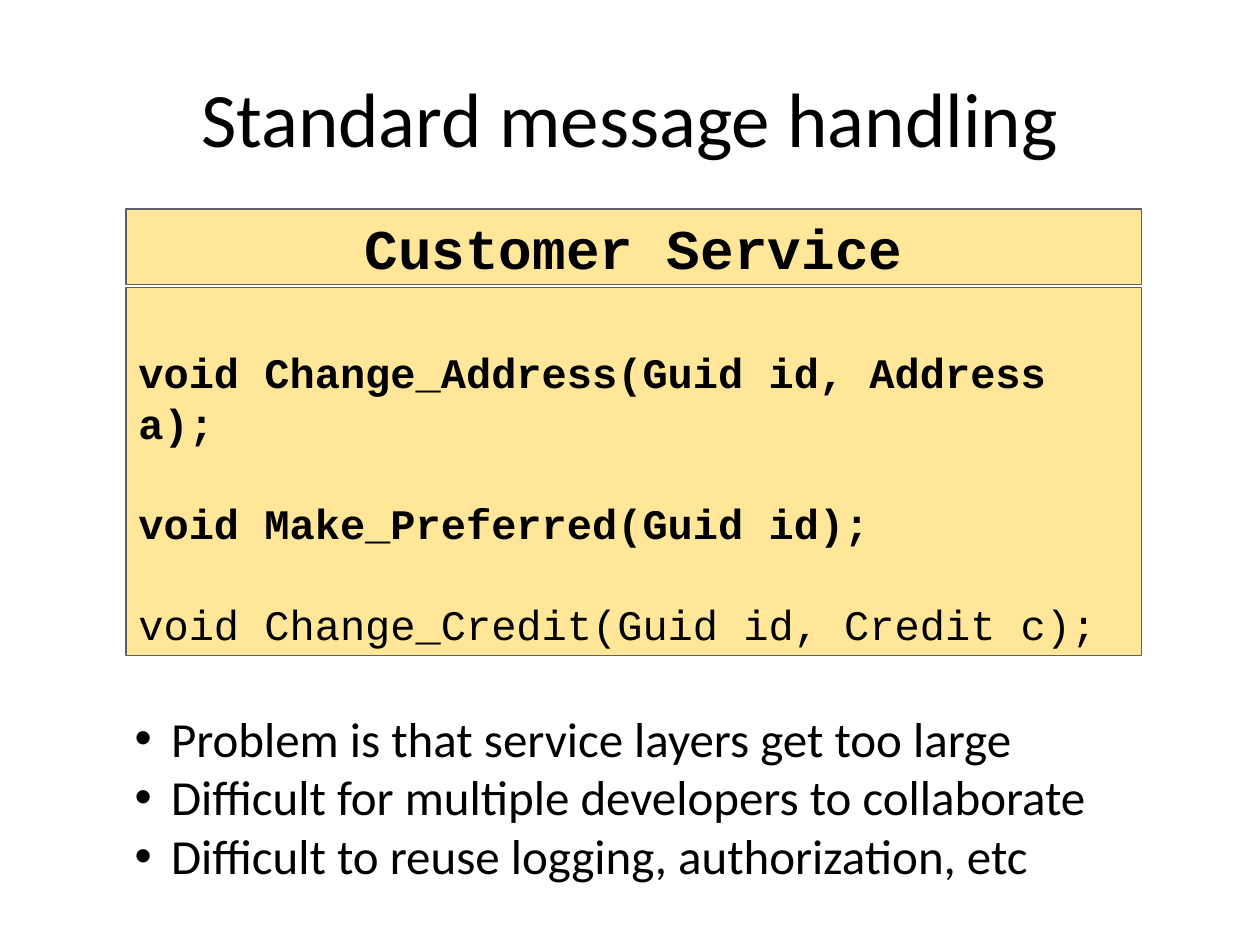
from lxml import etree
from pptx import Presentation
from pptx.dml.color import RGBColor
from pptx.enum.shapes import MSO_SHAPE
from pptx.enum.text import MSO_ANCHOR as ANCHOR, PP_ALIGN as ALIGN
from pptx.oxml.ns import qn
from pptx.util import Inches, Pt

COLORS = {"text": "000000", "panel": "FFE699", "border": "5F5F5F"}
BODY, CODE = "Calibri", "Courier New"
METHODS = [
    ("void Change_Address(Guid id, Address a);", True),
    ("void Make_Preferred(Guid id);", True),
    ("void Change_Credit(Guid id, Credit c);", False),
]
PROBLEMS = [
    "Problem is that service layers get too large",
    "Difficult for multiple developers to collaborate",
    "Difficult to reuse logging, authorization, etc",
]


def rgb(name):
    return RGBColor.from_string(COLORS[name])


def add_run(p, text, size, font, bold=False):
    r = p.add_run()
    r.text = text
    r.font.size, r.font.name, r.font.bold = Pt(size), font, bold
    r.font.color.rgb = rgb("text")


def next_paragraph(tf, index):
    return tf.add_paragraph() if index else tf.paragraphs[0]


def add_title(slide, x, y, w, h, text):
    tf = slide.shapes.add_textbox(x, y, w, h).text_frame
    tf.word_wrap = True
    tf.vertical_anchor = ANCHOR.MIDDLE
    p = tf.paragraphs[0]
    p.alignment = ALIGN.CENTER
    add_run(p, text, 44, BODY)


def add_panel(slide, x, y, w, h, anchor):
    """Add a bordered rectangle and return its text frame."""
    sp = slide.shapes.add_shape(MSO_SHAPE.RECTANGLE, x, y, w, h)
    sp.shadow.inherit = False
    sp.fill.solid()
    sp.fill.fore_color.rgb = rgb("panel")
    sp.line.color.rgb = rgb("border")
    sp.line.width = Pt(0.75)
    tf = sp.text_frame
    tf.word_wrap = True
    tf.vertical_anchor = anchor
    return tf


def add_service(slide, x, y, w, h, name, methods):
    """Add a class box: a name bar above a list of methods."""
    bar_h, gap = Inches(0.6), Inches(0.02)
    p = add_panel(slide, x, y, w, bar_h, ANCHOR.MIDDLE).paragraphs[0]
    p.alignment = ALIGN.CENTER
    add_run(p, name, 32, CODE, True)

    top = bar_h + gap
    tf = add_panel(slide, x, y + top, w, h - top, ANCHOR.BOTTOM)
    for i, (method, bold) in enumerate(methods):
        p = next_paragraph(tf, i)
        p.alignment = ALIGN.LEFT
        p.line_spacing = Pt(28.8)
        if i:
            p.space_before = Pt(28.8)
        add_run(p, method, 24, CODE, bold)


def add_bullets(slide, x, y, w, h, items):
    tf = slide.shapes.add_textbox(x, y, w, h).text_frame
    tf.word_wrap = True
    indent = Inches(0.29)
    for i, item in enumerate(items):
        p = next_paragraph(tf, i)
        pPr = p._p.get_or_add_pPr()
        pPr.set("marL", str(indent))
        pPr.set("indent", str(-indent))
        etree.SubElement(pPr, qn("a:buFont")).set("typeface", "Arial")
        etree.SubElement(pPr, qn("a:buChar")).set("char", "•")
        add_run(p, item, 28, BODY)


def main():
    prs = Presentation()
    prs.slide_width, prs.slide_height = Inches(10), Inches(7.5)
    slide = prs.slides.add_slide(prs.slide_layouts[6])
    add_title(slide, Inches(0.5), Inches(0.1), Inches(9), Inches(1.65),
              "Standard message handling")
    add_service(slide, Inches(1), Inches(1.66), Inches(8.06), Inches(3.54),
                "Customer Service", METHODS)
    add_bullets(slide, Inches(0.97), Inches(5.57), Inches(8.12), Inches(1.51),
                PROBLEMS)
    prs.save("out.pptx")


if __name__ == "__main__":
    main()
